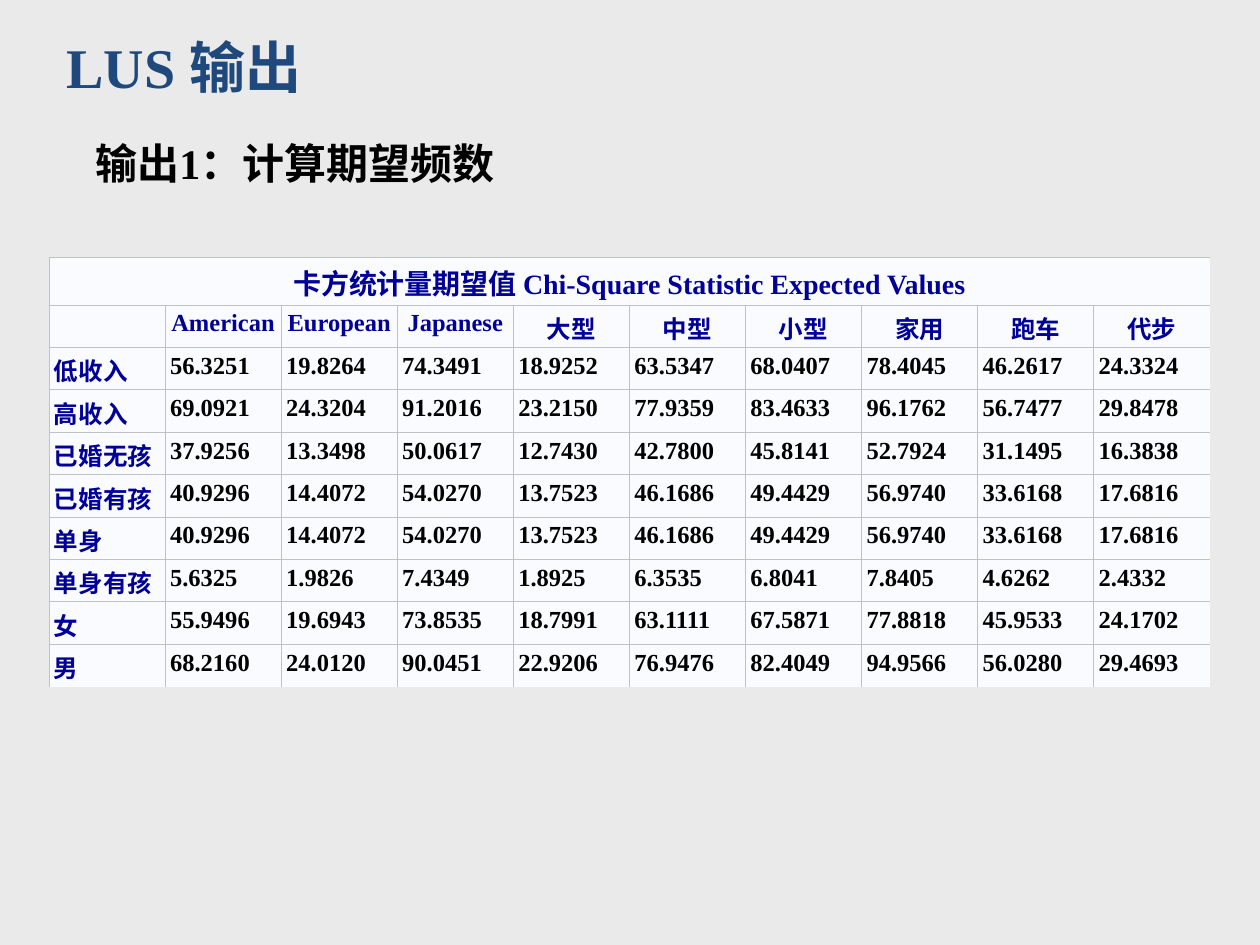
import lxml.etree
import pptx
import pptx.dml.color
import pptx.enum.text
import pptx.oxml.ns
import pptx.util

RGB = pptx.dml.color.RGBColor
ALIGN = pptx.enum.text.PP_ALIGN
ANCHOR = pptx.enum.text.MSO_ANCHOR

# Content
TITLE = [("LUS ", "Times New Roman"), ("输出", "Arial")]
LEAD = "输出1：计算期望频数"
HEAD = "卡方统计量期望值 Chi-Square Statistic Expected Values"
COLS = ["", "American", "European", "Japanese", "大型", "中型", "小型",
        "家用", "跑车", "代步"]
ROWS = [
    ("低收入", "56.3251 19.8264 74.3491 18.9252 63.5347 68.0407 78.4045 46.2617 24.3324"),
    ("高收入", "69.0921 24.3204 91.2016 23.2150 77.9359 83.4633 96.1762 56.7477 29.8478"),
    ("已婚无孩", "37.9256 13.3498 50.0617 12.7430 42.7800 45.8141 52.7924 31.1495 16.3838"),
    ("已婚有孩", "40.9296 14.4072 54.0270 13.7523 46.1686 49.4429 56.9740 33.6168 17.6816"),
    ("单身", "40.9296 14.4072 54.0270 13.7523 46.1686 49.4429 56.9740 33.6168 17.6816"),
    ("单身有孩", "5.6325 1.9826 7.4349 1.8925 6.3535 6.8041 7.8405 4.6262 2.4332"),
    ("女", "55.9496 19.6943 73.8535 18.7991 63.1111 67.5871 77.8818 45.9533 24.1702"),
    ("男", "68.2160 24.0120 90.0451 22.9206 76.9476 82.4049 94.9566 56.0280 29.4693"),
]

# Look
FONT = "Times New Roman"
BACK = RGB(0xEA, 0xEA, 0xEA)
BLUE = RGB(0x1F, 0x49, 0x7D)
NAVY = RGB(0x00, 0x00, 0x99)
BLACK = RGB(0x00, 0x00, 0x00)
PALE = RGB(0xFA, 0xFB, 0xFE)
GREY = RGB(0xC1, 0xC1, 0xC1)

# Places in px
SCALE = 914400 // 126
TITLE_BOX = (54, 26, 751, 81)
LEAD_BOX = (83, 131, 537, 63)
GRID_BOX = (49, 257, 1161, 430)
HEAD_H = 48
PAD = 5
PAD_LOW = 1


def px(n):
    return pptx.util.Emu(n * SCALE)


def style(run, size, color, font=FONT):
    run.font.size = pptx.util.Pt(size)
    run.font.bold = True
    run.font.name = font
    run.font.color.rgb = color


def border(cell, side, shown):
    props = cell._tc.get_or_add_tcPr()
    tag = pptx.oxml.ns.qn
    line = lxml.etree.SubElement(props, tag("a:ln" + side))
    if shown:
        line.set("w", str(pptx.util.Pt(0.6)))
        fill = lxml.etree.SubElement(line, tag("a:solidFill"))
        lxml.etree.SubElement(fill, tag("a:srgbClr")).set("val", str(GREY))
    else:
        lxml.etree.SubElement(line, tag("a:noFill"))


def fill_cell(cell, text, size, color, align):
    cell.margin_left = cell.margin_right = cell.margin_top = px(PAD)
    cell.margin_bottom = px(PAD_LOW)
    cell.fill.solid()
    cell.fill.fore_color.rgb = PALE
    cell.text_frame.text = text
    para = cell.text_frame.paragraphs[0]
    para.alignment = align
    for run in para.runs:
        style(run, size, color)
    if not text:
        end = lxml.etree.SubElement(para._p, pptx.oxml.ns.qn("a:endParaRPr"))
        end.set("sz", str(size * 100))


def main():
    deck = pptx.Presentation()
    deck.slide_width, deck.slide_height = px(1260), px(945)
    slide = deck.slides.add_slide(deck.slide_layouts[5])
    slide.background.fill.solid()
    slide.background.fill.fore_color.rgb = BACK

    # Table
    cells = [[HEAD] + [""] * (len(COLS) - 1), COLS]
    cells += [[name] + nums.split() for name, nums in ROWS]
    high, wide = len(cells), len(COLS)
    grid = slide.shapes.add_table(high, wide, *map(px, GRID_BOX)).table
    grid.first_row = grid.horz_banding = False
    for col in grid.columns:
        col.width = px(GRID_BOX[2]) // wide
    for row in grid.rows:
        row.height = px(GRID_BOX[3] - HEAD_H) // (high - 1)
    grid.rows[0].height = px(HEAD_H)
    for r, line in enumerate(cells):
        for c, text in enumerate(line):
            cell = grid.cell(r, c)
            border(cell, "L", True)
            border(cell, "R", c < wide - 1 and r > 0)
            border(cell, "T", True)
            border(cell, "B", r < high - 1)
            fill_cell(cell, text, 14 if r else 16,
                      BLACK if r > 1 and c else NAVY,
                      ALIGN.LEFT if r > 1 else ALIGN.CENTER)
    grid.cell(0, 0).merge(grid.cell(0, wide - 1))

    # Title
    title = slide.shapes.title
    title.left, title.top, title.width, title.height = map(px, TITLE_BOX)
    title.text_frame.vertical_anchor = ANCHOR.TOP
    para = title.text_frame.paragraphs[0]
    para.alignment = ALIGN.LEFT
    for text, font in TITLE:
        run = para.add_run()
        run.text = text
        style(run, 32, BLUE, font)

    # Lead line
    lead = slide.shapes.add_textbox(*map(px, LEAD_BOX)).text_frame
    lead.word_wrap = True
    lead.text = LEAD
    style(lead.paragraphs[0].runs[0], 24, BLACK)

    deck.save("out.pptx")


if __name__ == "__main__":
    main()
